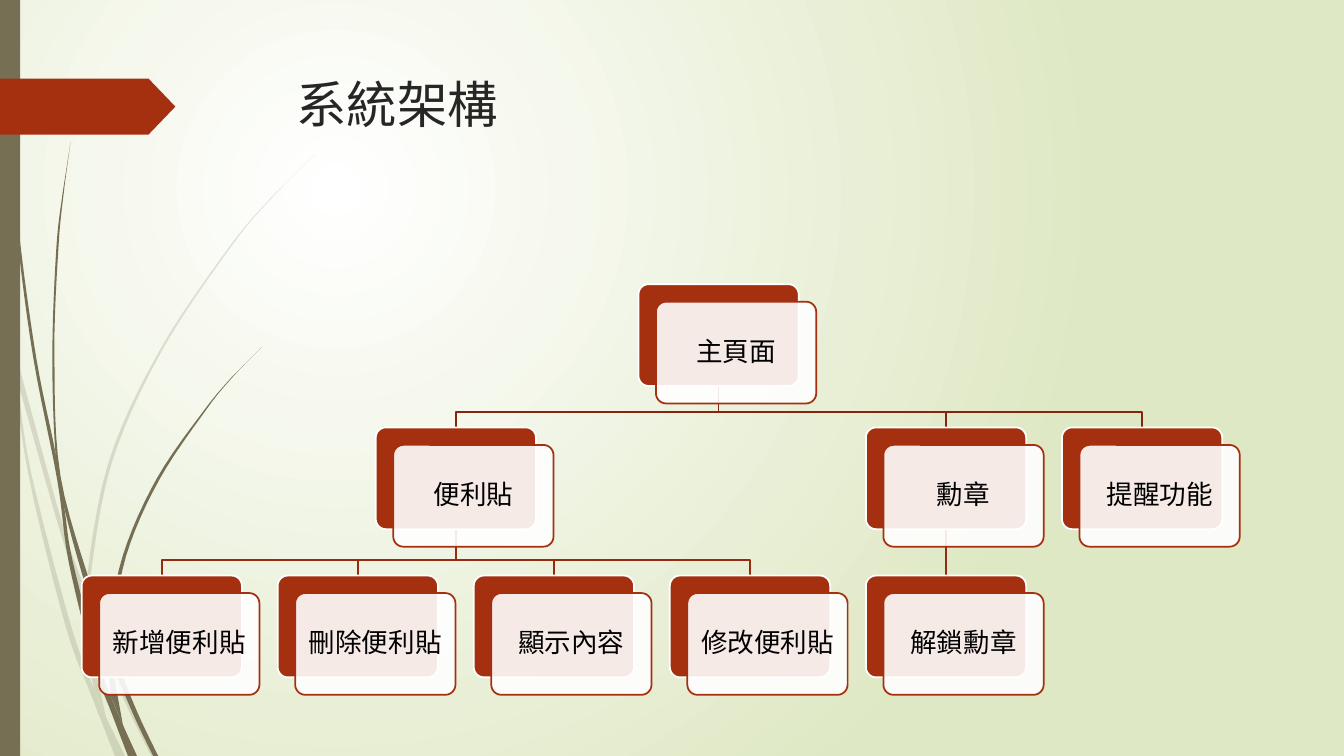
from pptx import Presentation
from pptx.dml.color import RGBColor
from pptx.enum.shapes import MSO_CONNECTOR, MSO_SHAPE
from pptx.enum.text import MSO_ANCHOR, PP_ALIGN
from pptx.oxml.ns import qn
from pptx.oxml.xmlchemy import OxmlElement
from pptx.util import Pt

RECT = MSO_SHAPE.RECTANGLE
ROUND = MSO_SHAPE.ROUNDED_RECTANGLE
ARROW = MSO_SHAPE.PENTAGON
STRAIGHT = MSO_CONNECTOR.STRAIGHT
CENTER = PP_ALIGN.CENTER
MIDDLE = MSO_ANCHOR.MIDDLE
TOP = MSO_ANCHOR.TOP

WHITE = RGBColor(0xFF, 0xFF, 0xFF)
BLACK = RGBColor(0, 0, 0)
INK = RGBColor(0x26, 0x26, 0x26)
GREEN = RGBColor(0xDF, 0xE8, 0xC4)
OLIVE = RGBColor(0x76, 0x6F, 0x54)
RED = RGBColor(0xA5, 0x30, 0x10)
LINES = [RGBColor(0x84, 0x26, 0x0D), RGBColor(0x96, 0x2C, 0x0F)]
FONT = "TeX Gyre Adventor"

# Tree grid: columns at equal steps, one top per level
LEFT, STEP = 58.3, 140.05
TOPS = [203, 305.3, 411.1]
WIDE, HIGH = 114.5, 72.7
SHIFT = 12.5
DROP = 10.9

# Each node: label, column, children
TREE = ("主頁面", 2.84, [
    ("便利貼", 1.5, [
        ("新增便利貼", 0, []),
        ("刪除便利貼", 1, []),
        ("顯示內容", 2, []),
        ("修改便利貼", 3, []),
    ]),
    ("勳章", 4, [("解鎖勳章", 4, [])]),
    ("提醒功能", 5, []),
])

# Each blade of grass: one edge down, the other edge back up
PALE = [
    ([(0, 203), (6.5, 231.8), (12.2, 270.7), (22.3, 337.7), (50.4, 445.7),
      (67, 491.8), (75.6, 511.9), (89.3, 540)],
     [(82.1, 540), (66.2, 499), (46.8, 447.1), (20.2, 338.4), (7.9, 252),
      (0, 215.3)]),
    ([(10.1, 248.4), (44.6, 374.4), (61.2, 421.9), (66.2, 437),
      (91.4, 498.2), (111.6, 540)],
     [(108, 540), (88.6, 499.7), (60.5, 431.3), (41.8, 375.8),
      (12.2, 270.7)]),
    ([(224.6, 110.2), (193, 142.6), (164.9, 176.4), (115.2, 251.3),
      (79.2, 332.6), (63.4, 420.5), (63.4, 439.2), (65.5, 465.1),
      (75.6, 511.9)],
     [(67, 491.8), (62.6, 465.1), (61.2, 421.9), (77, 331.9),
      (113.8, 250.6), (164.2, 175.7), (193, 141.8)]),
]
DARK = [
    ([(2.9, 0), (5.8, 78.5), (13.7, 167), (25.9, 255.6), (39.6, 323.3),
      (46.1, 363.6), (51.8, 400.3), (70.6, 473), (79.2, 497.5),
      (87.8, 517.7), (97.9, 540)],
     [(91.4, 540), (79.9, 509.8), (67, 474.5), (49, 401), (41, 343.4),
      (23.8, 255.6), (12.2, 167.8), (5, 79.2), (2.2, 0)]),
    ([(50.4, 101.5), (45.4, 139), (41.8, 176.4), (38.9, 251.3),
      (43.2, 339.8), (67, 424.8), (76.3, 454.3), (81.4, 467.3),
      (97.9, 508.3), (113, 540)],
     [(109.4, 540), (95, 509.8), (76.3, 464.4), (63.4, 426.2),
      (46.1, 363.6), (39.6, 323.3), (37.4, 251.3), (40.3, 176.4),
      (44.6, 139)]),
    ([(187.2, 247.7), (166.3, 269.3), (147.6, 292.3), (113.8, 342.7),
      (90, 397.4), (79.9, 455.8), (79.9, 472.3), (87.8, 517.7)],
     [(79.2, 497.5), (76.3, 464.4), (76.3, 454.3), (87.8, 396.7),
      (112.3, 341.3), (146.9, 291.6), (166.3, 268.6)]),
]


def backdrop(slide):
    fill = slide.background.fill
    fill.gradient()
    for stop, color in zip(fill.gradient_stops, (WHITE, GREEN)):
        stop.color.rgb = color
    grad = slide.element.find(".//" + qn("a:gradFill"))
    grad.remove(grad.find(qn("a:lin")))
    radial = OxmlElement("a:path")
    radial.set("path", "circle")
    focus = OxmlElement("a:fillToRect")
    for side, inset in zip("ltrb", (50, 50, 100, 100)):
        focus.set(side, str(inset * 1000))
    radial.append(focus)
    grad.append(radial)


def paint(shape, color, alpha=100, line=None):
    shape.shadow.inherit = False
    shape.fill.solid()
    shape.fill.fore_color.rgb = color
    if alpha < 100:
        node = OxmlElement("a:alpha")
        node.set("val", str(alpha * 1000))
        shape.fill._xPr.find(".//" + qn("a:srgbClr")).append(node)
    if line is None:
        shape.line.fill.background()
    else:
        shape.line.color.rgb = line
        shape.line.width = Pt(1.25)


def block(slide, kind, x, y, w, h, adj=None):
    shape = slide.shapes.add_shape(kind, Pt(x), Pt(y), Pt(w), Pt(h))
    if adj is not None:
        shape.adjustments[0] = adj
    return shape


def outline(slide, points, close):
    spots = [(Pt(x), Pt(y)) for x, y in points]
    build = slide.shapes.build_freeform(*spots[0])
    build.add_line_segments(spots[1:], close=close)
    return build.convert_to_shape()


def smooth(edge, parts=6):
    """Catmull-Rom curve through the points of an edge."""
    ends = [edge[0], *edge, edge[-1]]
    curve = [edge[0]]
    for a, b, c, d in zip(ends, ends[1:], ends[2:], ends[3:]):
        for i in range(1, parts + 1):
            t = i / parts
            curve.append(tuple(
                q + t / 2 * (r - p + t * (2 * p - 5 * q + 4 * r - s
                                          + t * (3 * (q - r) + s - p)))
                for p, q, r, s in zip(a, b, c, d)))
    return curve


def write(shape, text, size, color, anchor):
    frame = shape.text_frame
    frame.word_wrap = True
    frame.vertical_anchor = anchor
    para = frame.paragraphs[0]
    para.text = text
    para.font.name = FONT
    para.font.size = Pt(size)
    para.font.color.rgb = color
    return para


def place(col, level):
    return LEFT + STEP * col, TOPS[level]


def link(slide, start, end, color):
    (x1, y1), (x2, y2) = start, end
    if x1 == x2:
        line = slide.shapes.add_connector(STRAIGHT, Pt(x1), Pt(y1), Pt(x2), Pt(y2))
        line._element.spPr.append(OxmlElement("a:effectLst"))
    else:
        bend = y2 - DROP
        line = outline(slide, [start, (x1, bend), (x2, bend), end], False)
        line.shadow.inherit = False
        line.fill.background()
    line.line.color.rgb = color
    line.line.width = Pt(1.25)


def links(slide, node, level=0):
    x, y = place(node[1], level)
    for kid in node[2]:
        left, top = place(kid[1], level + 1)
        link(slide, (x + WIDE / 2, y + HIGH), (left + WIDE / 2, top), LINES[level])
        links(slide, kid, level + 1)


def cards(slide, node, level=0):
    label, col, kids = node
    x, y = place(col, level)
    paint(block(slide, ROUND, x, y, WIDE, HIGH, 0.1), RED, line=WHITE)
    card = block(slide, ROUND, x + SHIFT, y + SHIFT, WIDE, HIGH, 0.1)
    paint(card, WHITE, 90, RED)
    para = write(card, label, 19, BLACK, MIDDLE)
    para.alignment = CENTER
    para.line_spacing = 0.9
    frame = card.text_frame
    frame.margin_left = frame.margin_right = Pt(5.8)
    frame.margin_top = frame.margin_bottom = Pt(5.8)
    for kid in kids:
        cards(slide, kid, level + 1)


def main():
    deck = Presentation()
    deck.slide_width, deck.slide_height = Pt(960), Pt(540)
    slide = deck.slides.add_slide(deck.slide_layouts[6])
    backdrop(slide)

    # Grass, side bar and arrow
    for blades, alpha in ((PALE, 20), (DARK, 100)):
        for down, back in blades:
            paint(outline(slide, smooth(down) + smooth(back), True), OLIVE, alpha)
    paint(block(slide, RECT, 0, 0, 14.4, 540), OLIVE)
    paint(block(slide, ARROW, 0, 56.2, 125.3, 39.9, 0.48), RED)

    # Title
    title = slide.shapes.add_textbox(Pt(204.5), Pt(49), Pt(702), Pt(100.8))
    write(title, "系統架構", 36, INK, TOP)

    # System tree
    links(slide, TREE)
    cards(slide, TREE)
    deck.save("out.pptx")


if __name__ == "__main__":
    main()
